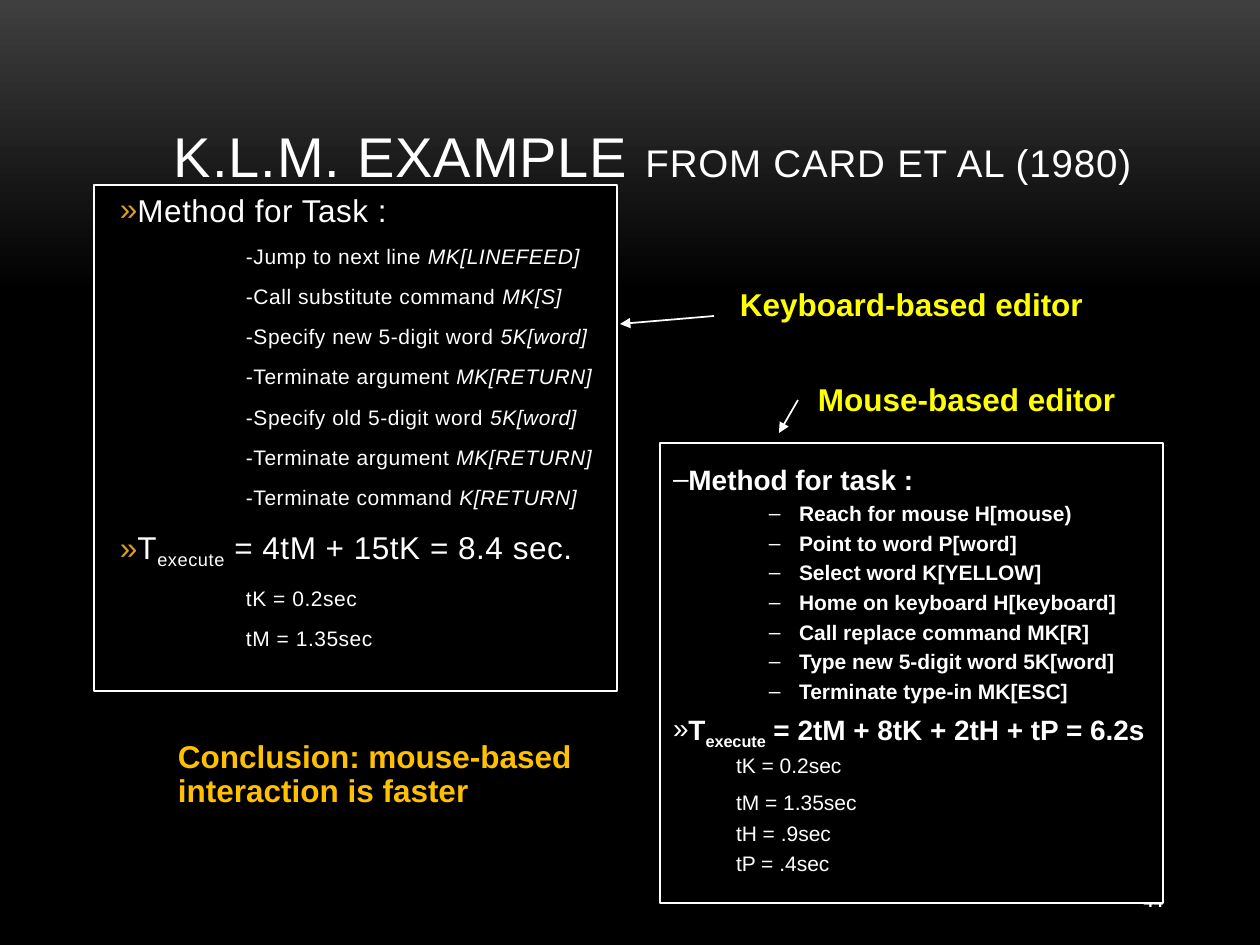
from lxml.etree import SubElement
from pptx import Presentation
from pptx.dml.color import RGBColor
from pptx.enum.shapes import MSO_CONNECTOR
from pptx.enum.text import MSO_ANCHOR, MSO_AUTO_SIZE, PP_ALIGN
from pptx.oxml.ns import qn
from pptx.util import Pt

HUES = {"night": "000000", "dusk": "3F3F3F", "text": "FFFFFF",
        "mark": "DC9E1F", "label": "FFFF00", "close": "FFC000"}

KEYS = [("Jump to next line", "MK[LINEFEED]"),
        ("Call substitute command", "MK[S]"),
        ("Specify new 5-digit word", "5K[word]"),
        ("Terminate argument", "MK[RETURN]"),
        ("Specify old 5-digit word", "5K[word]"),
        ("Terminate argument", "MK[RETURN]"),
        ("Terminate command", "K[RETURN]")]

MOVES = ["Reach for mouse H[mouse)", "Point to word P[word]",
         "Select word K[YELLOW]", "Home on keyboard H[keyboard]",
         "Call replace command MK[R]", "Type new 5-digit word 5K[word]",
         "Terminate type-in MK[ESC]"]


def px(n):
    """Turn pixels into EMU."""
    return round(n * 914400 / 126)


def hue(name):
    """Look up a named colour."""
    return RGBColor.from_string(HUES[name])


def place(shape, box):
    """Move a shape to a pixel box."""
    shape.left, shape.top, shape.width, shape.height = map(px, box)


def frame(shape, pads, anchor=MSO_ANCHOR.TOP):
    """Set up the text frame of a shape and return it."""
    tf = shape.text_frame
    tf.word_wrap = True
    tf.auto_size = MSO_AUTO_SIZE.NONE
    tf.vertical_anchor = anchor
    tf.margin_left, tf.margin_top, tf.margin_right, tf.margin_bottom = map(px, pads)
    return tf


def write(para, text, size, color="text", bold=False, italic=False, gap=0, base=0):
    """Add one formatted run to a paragraph."""
    run = para.add_run()
    run.text = text
    font = run.font
    font.name, font.size, font.bold, font.italic = "Arial", Pt(size), bold, italic
    font.color.rgb = hue(color)
    props = run._r.get_or_add_rPr()
    if gap:
        props.set("spc", str(gap))
    if base:
        props.set("baseline", str(base * 1000))


def line(tf, left=0, hang=0, lead=0.9, before=4, after=0, mark=None, tint="text"):
    """Return the next paragraph with its spacing, indent and bullet."""
    para = tf.paragraphs[0]
    first = not para.runs
    if not first:
        para = tf.add_paragraph()
    para.alignment = PP_ALIGN.LEFT
    para.line_spacing = lead
    para.space_before = Pt(0 if first else before)
    para.space_after = Pt(after)
    props = para._p.get_or_add_pPr()
    props.set("marL", str(px(left)))
    props.set("indent", str(-px(hang)))
    if mark:
        SubElement(SubElement(props, qn("a:buClr")), qn("a:srgbClr")).set("val", HUES[tint])
        SubElement(props, qn("a:buFont")).set("typeface", "Arial")
        SubElement(props, qn("a:buChar")).set("char", mark)
    else:
        SubElement(props, qn("a:buNone"))
    return para


def panel(shape, box, pads):
    """Make a body placeholder a black box with a white outline."""
    place(shape, box)
    shape.fill.solid()
    shape.fill.fore_color.rgb = hue("night")
    shape.line.color.rgb = hue("text")
    shape.line.width = Pt(1)
    return frame(shape, pads)


def total(para, size, sums, **style):
    """Write the execution time formula."""
    write(para, "T", size, **style)
    write(para, "execute", size, base=-25, **style)
    write(para, sums, size, **style)


def keyboard(shape, box):
    """Fill the panel of the keyboard method."""
    tf = panel(shape, box, (26, 6, 6, 6))
    head = {"lead": 1, "after": 6, "mark": "»", "tint": "mark"}
    item = {"left": 126, "after": 6}
    write(line(tf, **head), "Method for Task :", 18, gap=30)
    for step, code in KEYS:
        para = line(tf, **item)
        write(para, f"-{step}", 12, gap=30)
        write(para, f" {code}", 12, italic=True, gap=30)
    total(line(tf, **head), 18, " = 4tM + 15tK = 8.4 sec.", gap=30)
    for time in ("tK = 0.2sec", "tM = 1.35sec"):
        write(line(tf, **item), time, 12, gap=30)


def mouse(shape, box):
    """Fill the panel of the mouse method."""
    tf = panel(shape, box, (13, 23, 6, 6))
    write(line(tf, mark="–"), "Method for task :", 16, bold=True)
    for step in MOVES:
        write(line(tf, left=126, hang=30, mark="–"), step, 12, bold=True)
    total(line(tf, before=5.5, mark="»"), 16, " = 2tM + 8tK + 2tH + tP = 6.2s", bold=True)
    for time, before in (("tK = 0.2sec", 4), ("tM = 1.35sec", 8.5),
                         ("tH = .9sec", 5), ("tP = .4sec", 4)):
        write(line(tf, left=63, before=before), time, 12)


def title(shape, box):
    """Fill the title in two sizes."""
    place(shape, box)
    para = frame(shape, (90, 6, 0, 6), MSO_ANCHOR.BOTTOM).paragraphs[0]
    para.alignment = PP_ALIGN.LEFT
    write(para, "K.L.M. EXAMPLE ", 32, gap=50)
    write(para, "FROM CARD ET AL (1980)", 22, gap=50)


def label(slide, box, rows, color):
    """Add a bold caption."""
    tf = frame(slide.shapes.add_textbox(*map(px, box)), (13, 6, 0, 6))
    for row in rows:
        write(line(tf, before=0), row, 18, color, bold=True)


def number(slide, box):
    """Add the page number behind the panels."""
    shape = slide.shapes.add_textbox(*map(px, box))
    para = frame(shape, (13, 6, 13, 6), MSO_ANCHOR.MIDDLE).paragraphs[0]
    para.alignment = PP_ALIGN.RIGHT
    write(para, "44", 10, bold=True)
    slide.shapes._spTree.insert(2, shape._element)


def arrow(slide, ends):
    """Add a white arrow."""
    link = slide.shapes.add_connector(MSO_CONNECTOR.STRAIGHT, *map(px, ends))
    link.line.color.rgb = hue("text")
    link.line.width = Pt(1)
    SubElement(link.line._get_or_add_ln(), qn("a:tailEnd")).set("type", "triangle")
    SubElement(link._element.spPr, qn("a:effectLst"))


def ground(slide):
    """Shade the background from grey to black."""
    fill = slide.background.fill
    fill.gradient()
    fill.gradient_angle = 270
    for stop, spot, name in zip(fill.gradient_stops, (0, 0.31), ("dusk", "night")):
        stop.position = spot
        stop.color.rgb = hue(name)


def main():
    """Build and save the slide."""
    deck = Presentation()
    deck.slide_width, deck.slide_height = px(1260), px(945)
    slide = deck.slides.add_slide(deck.slide_layouts[3])
    left, right = slide.placeholders[1], slide.placeholders[2]
    ground(slide)
    title(slide.shapes.title, (84, 38, 1142, 157))
    mouse(right, (660, 443, 503, 460))
    keyboard(left, (94, 185, 523, 506))
    number(slide, (1040, 876, 136, 50))
    label(slide, (165, 735, 423, 80), ("Conclusion: mouse-based", "interaction is faster"), "close")
    label(slide, (805, 378, 325, 47), ("Mouse-based editor",), "label")
    label(slide, (727, 283, 372, 47), ("Keyboard-based editor",), "label")
    arrow(slide, (714, 316, 620, 324))
    arrow(slide, (798, 400, 779, 433))
    deck.save("out.pptx")


if __name__ == "__main__":
    main()
